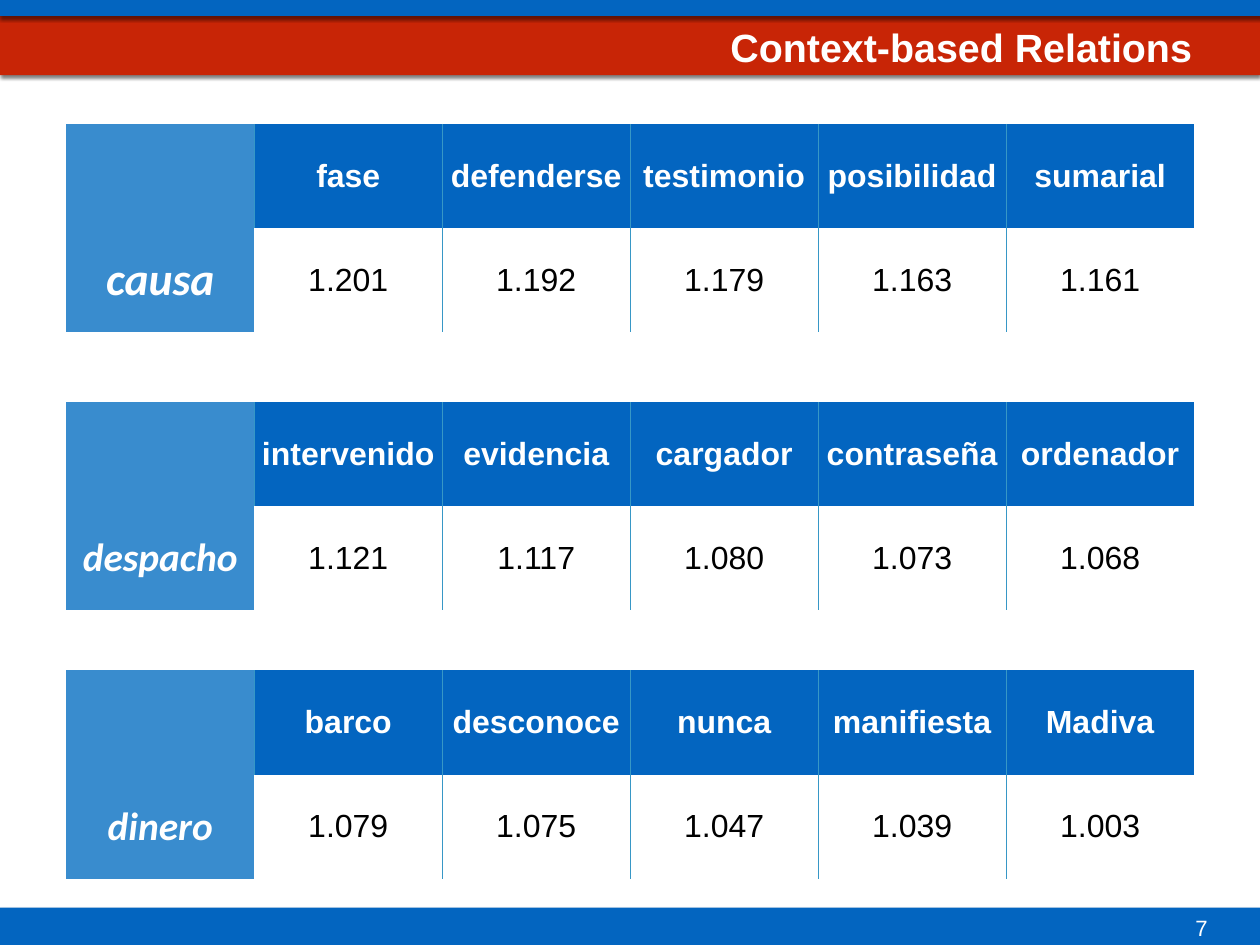
from pptx import Presentation
from pptx.dml.color import RGBColor
from pptx.enum.shapes import MSO_SHAPE
from pptx.enum.text import MSO_ANCHOR, PP_ALIGN
from pptx.oxml import parse_xml
from pptx.oxml.ns import nsdecls
from pptx.util import Inches, Pt

RED = RGBColor(0xC8, 0x25, 0x06)
BLUE = RGBColor(0x03, 0x65, 0xC0)
LIGHT_BLUE = RGBColor(0x39, 0x8C, 0xCE)
RULE_BLUE = RGBColor(0x37, 0x97, 0xC6)
WHITE = RGBColor(0xFF, 0xFF, 0xFF)
BLACK = RGBColor(0x00, 0x00, 0x00)

PLAIN_TABLE = "{2D5ABB26-0587-4C30-8999-92F81FD0307C}"
INSET = Inches(0.06)

# Top in percent of the slide height, keyword, its size, related words with scores
RELATIONS = [
    (13.12, "causa", 37, [("fase", "1.201"), ("defenderse", "1.192"), ("testimonio", "1.179"),
                          ("posibilidad", "1.163"), ("sumarial", "1.161")]),
    (42.55, "despacho", 32, [("intervenido", "1.121"), ("evidencia", "1.117"), ("cargador", "1.080"),
                             ("contraseña", "1.073"), ("ordenador", "1.068")]),
    (70.95, "dinero", 32, [("barco", "1.079"), ("desconoce", "1.075"), ("nunca", "1.047"),
                           ("manifiesta", "1.039"), ("Madiva", "1.003")]),
]


class SlideBuilder:
    """Draws on one slide; places are percentages of the slide's width and height."""

    def __init__(self, deck):
        self.deck = deck
        self.slide = deck.slides.add_slide(deck.slide_layouts[6])

    def place(self, left, top, width, height):
        across, down = self.deck.slide_width / 100, self.deck.slide_height / 100
        return [round(length) for length in
                (left * across, top * down, width * across, height * down)]

    def band(self, place, color):
        """Add a colour bar with a soft shadow below it."""
        bar = self.slide.shapes.add_shape(MSO_SHAPE.RECTANGLE, *self.place(*place))
        bar.fill.solid()
        bar.fill.fore_color.rgb = color
        bar.line.fill.background()
        bar.shadow.inherit = False
        effects = bar.element.spPr[-1]
        effects.append(parse_xml(
            f'<a:outerShdw {nsdecls("a")} blurRad="{Pt(3)}" dist="{Pt(2)}" '
            'dir="5400000" rotWithShape="0"><a:srgbClr val="000000">'
            '<a:alpha val="50000"/></a:srgbClr></a:outerShdw>'))

    def add_span(self, para, text, size, color=WHITE, bold=False, italic=False,
                 font="Arial", align=PP_ALIGN.CENTER):
        para.alignment = align
        span = para.add_run()
        span.text = text
        span.font.name = font
        span.font.size = Pt(size)
        span.font.color.rgb = color
        span.font.bold = bold
        span.font.italic = italic

    def text_box(self, place, text, size, anchor=MSO_ANCHOR.TOP, wrap=False, **style):
        box = self.slide.shapes.add_textbox(*self.place(*place))
        frame = box.text_frame
        frame.word_wrap = wrap
        frame.vertical_anchor = anchor
        frame.margin_left = frame.margin_right = INSET
        frame.margin_top = frame.margin_bottom = INSET
        self.add_span(frame.paragraphs[0], text, size, **style)

    def cell_para(self, cell, color, sides=""):
        """Style a cell with a fill and rules on the given sides; return its paragraph."""
        cell.margin_left = cell.margin_right = INSET
        cell.margin_top = cell.margin_bottom = INSET
        cell.vertical_anchor = MSO_ANCHOR.MIDDLE
        for side in sides:
            cell._tc.get_or_add_tcPr().append(parse_xml(
                f'<a:ln{side} {nsdecls("a")} w="{Pt(1)}"><a:solidFill>'
                f'<a:srgbClr val="{RULE_BLUE}"/></a:solidFill></a:ln{side}>'))
        cell.fill.solid()
        cell.fill.fore_color.rgb = color
        return cell.text_frame.paragraphs[0]

    def relation_table(self, top, keyword, keyword_size, relations):
        columns = len(relations) + 1
        place = self.place(5.27, top, 89.52, 22.05)
        table = self.slide.shapes.add_table(2, columns, *place).table
        table._tbl.tblPr.find("{*}tableStyleId").text = PLAIN_TABLE
        table.first_row = table.horz_banding = False

        self.cell_para(table.cell(0, 0), LIGHT_BLUE, "R")
        para = self.cell_para(table.cell(1, 0), LIGHT_BLUE)
        self.add_span(para, keyword, keyword_size, bold=True, italic=True, font="Calibri")

        for column, (word, score) in enumerate(relations, start=1):
            right = "R" if column < columns - 1 else ""
            left = "L" if column > 1 else ""
            para = self.cell_para(table.cell(0, column), BLUE, "L" + right)
            self.add_span(para, word, 26, bold=True)
            para = self.cell_para(table.cell(1, column), WHITE, left + right)
            self.add_span(para, score, 26, color=BLACK)


def main():
    deck = Presentation()
    deck.slide_width, deck.slide_height = Inches(14.22), Inches(10.67)
    page = SlideBuilder(deck)

    page.band((0, -0.28, 100, 8.25), RED)
    page.band((-0.07, -0.28, 100.2, 1.97), BLUE)
    page.band((0, 96.06, 100, 4.03), BLUE)
    page.text_box((33.97, 1.97, 61.11, 6), "Context-based Relations", 32, bold=True,
                  anchor=MSO_ANCHOR.MIDDLE, wrap=True, align=PP_ALIGN.RIGHT)
    page.text_box((94.44, 96.16, 1.83, 3.94), "7", 18)
    for relation in RELATIONS:
        page.relation_table(*relation)

    deck.save("out.pptx")


if __name__ == "__main__":
    main()
